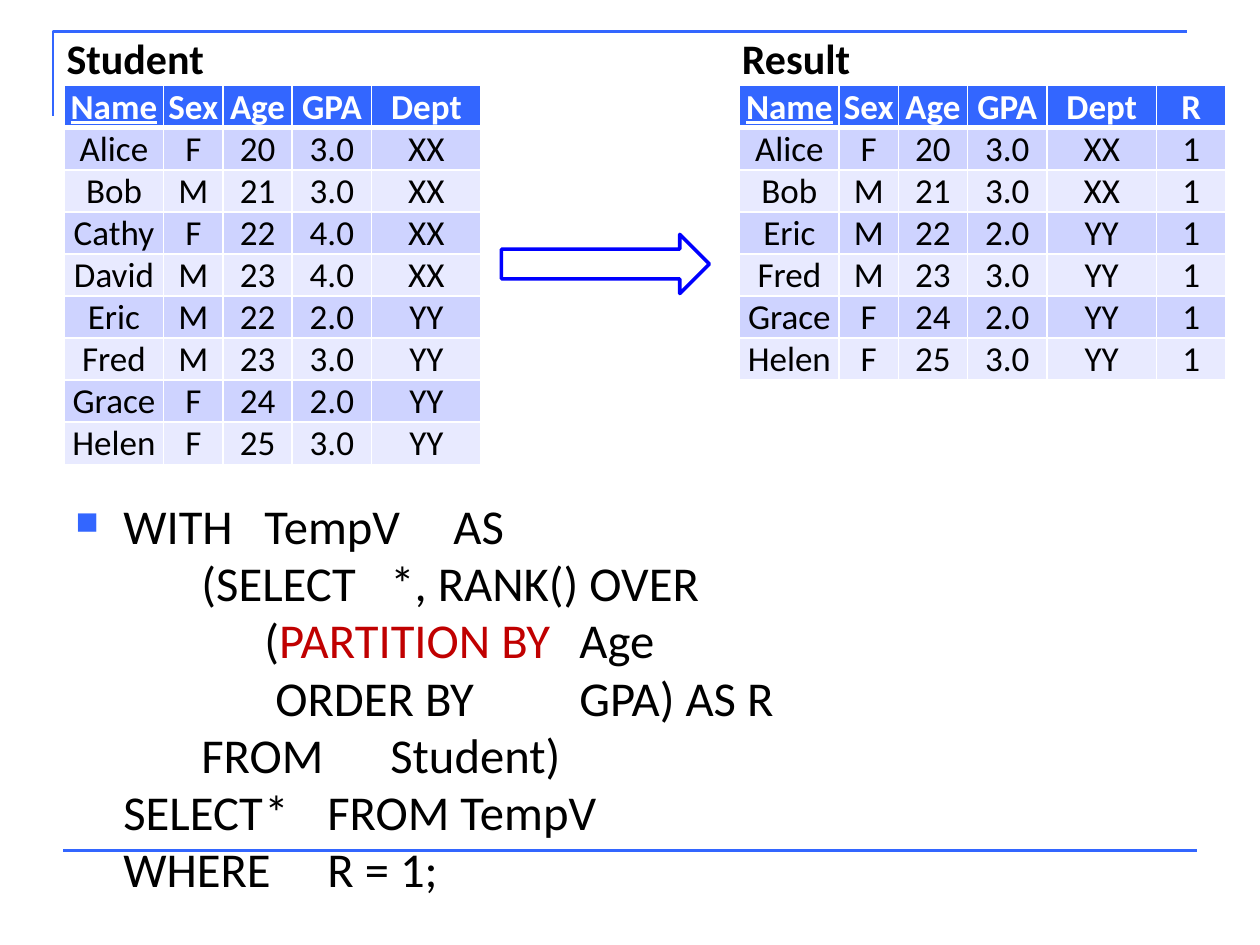
from lxml.etree import SubElement
from pptx import Presentation
from pptx.dml.color import RGBColor
from pptx.enum.shapes import MSO_CONNECTOR, MSO_SHAPE
from pptx.enum.text import MSO_ANCHOR, MSO_AUTO_SIZE, PP_ALIGN
from pptx.oxml.ns import qn
from pptx.util import Inches, Pt

HEADER = ["Name", "Sex", "Age", "GPA", "Dept"]
STUDENTS = [
    ["Alice", "F", "20", "3.0", "XX"],
    ["Bob", "M", "21", "3.0", "XX"],
    ["Cathy", "F", "22", "4.0", "XX"],
    ["David", "M", "23", "4.0", "XX"],
    ["Eric", "M", "22", "2.0", "YY"],
    ["Fred", "M", "23", "3.0", "YY"],
    ["Grace", "F", "24", "2.0", "YY"],
    ["Helen", "F", "25", "3.0", "YY"],
]
UNRANKED_FIRST = ("Cathy", "David")
COLUMN_WIDTHS = [0.79, 0.47, 0.55, 0.63, 0.87, 0.55]
ROW_HEIGHT = 0.33
KEYWORD = "PARTITION BY"
QUERY = [
    "WITH\tTempV\tAS",
    "\t\t(SELECT\t*, RANK() OVER",
    "\t\t\t(PARTITION BY\tAge",
    "\t\t\t ORDER BY\t\tGPA) AS R",
    "\t\tFROM\t\tStudent)",
    "SELECT\t*\tFROM TempV",
    "WHERE\tR = 1;",
]


def rgb(hex_string):
    return RGBColor.from_string(hex_string)


class SlideBuilder:
    """Draws the elements of one slide in a shared style."""

    FONT = "Calibri"
    ACCENT, ARROW, KEYWORD_COLOR = "3366FF", "0000FF", "C00000"
    BLACK, WHITE = "000000", "FFFFFF"
    BANDS = ("E8EAFF", "CED3FF")

    def __init__(self, slide):
        self.slide = slide

    def style(self, font, size, color, bold=False):
        font.name, font.size, font.bold = self.FONT, Pt(size), bold
        font.color.rgb = rgb(color)

    def outline(self, shape, color, width):
        shape.line.color.rgb = rgb(color)
        shape.line.width = Pt(width)

    def corner(self, left, top, right, bottom):
        builder = self.slide.shapes.build_freeform(Inches(left), Inches(bottom))
        builder.add_line_segments(
            [(Inches(left), Inches(top)), (Inches(right), Inches(top))], close=False
        )
        frame = builder.convert_to_shape()
        frame.shadow.inherit = False
        frame.fill.background()
        self.outline(frame, self.ACCENT, 1.5)

    def rule(self, left, right, y):
        line = self.slide.shapes.add_connector(
            MSO_CONNECTOR.STRAIGHT, Inches(left), Inches(y), Inches(right), Inches(y)
        )
        self.outline(line, self.ACCENT, 1.5)
        SubElement(line._element.spPr, qn("a:effectLst"))

    def text_box(self, left, top, width, height):
        frame = self.slide.shapes.add_textbox(
            Inches(left), Inches(top), Inches(width), Inches(height)
        ).text_frame
        frame.word_wrap = True
        return frame

    def label(self, text, left, top):
        frame = self.text_box(left, top, 1.37, 0.5)
        frame.auto_size = MSO_AUTO_SIZE.SHAPE_TO_FIT_TEXT
        frame.text = text
        self.style(frame.paragraphs[0].runs[0].font, 24, self.BLACK, bold=True)

    def query(self, lines, left, top, width, height):
        paragraph = self.text_box(left, top, width, height).paragraphs[0]
        paragraph.line_spacing = 0.98
        properties = paragraph._p.get_or_add_pPr()
        properties.set("marL", str(Inches(0.38)))
        properties.set("indent", str(-Inches(0.38)))
        bullet_color = SubElement(properties, qn("a:buClr"))
        SubElement(bullet_color, qn("a:srgbClr"), val=self.ACCENT)
        SubElement(properties, qn("a:buSzPct"), val="65000")
        SubElement(properties, qn("a:buChar"), char="■")
        for number, line in enumerate(lines):
            if number:
                paragraph.add_line_break()
            for part in filter(None, line.partition(KEYWORD)):
                run = paragraph.add_run()
                run.text = part
                color = self.KEYWORD_COLOR if part == KEYWORD else self.BLACK
                self.style(run.font, 27.8, color)

    def arrow(self, left, top, width, height):
        arrow = self.slide.shapes.add_shape(
            MSO_SHAPE.DOWN_ARROW, Inches(left), Inches(top), Inches(width), Inches(height)
        )
        arrow.rotation = 270
        arrow.shadow.inherit = False
        arrow.fill.background()
        self.outline(arrow, self.ARROW, 2)

    def borders(self, cell, bottom):
        properties = cell._tc.get_or_add_tcPr()
        for side, width in (("L", 1), ("R", 1), ("T", 1), ("B", bottom)):
            border = SubElement(properties, qn(f"a:ln{side}"), w=str(Pt(width)))
            fill = SubElement(border, qn("a:solidFill"))
            SubElement(fill, qn("a:srgbClr"), val=self.WHITE)

    def cell(self, cell, text, is_header, fill):
        self.borders(cell, 3 if is_header else 1)
        cell.fill.solid()
        cell.fill.fore_color.rgb = rgb(fill)
        cell.margin_left = cell.margin_right = cell.margin_top = cell.margin_bottom = 0
        cell.vertical_anchor = MSO_ANCHOR.MIDDLE
        cell.text = text
        paragraph = cell.text_frame.paragraphs[0]
        paragraph.alignment = PP_ALIGN.CENTER
        font = paragraph.runs[0].font
        self.style(font, 20, self.WHITE if is_header else self.BLACK, is_header)
        font.underline = text == "Name"

    def table(self, rows, left, top):
        widths = COLUMN_WIDTHS[:len(rows[0])]
        table = self.slide.shapes.add_table(
            len(rows), len(widths), Inches(left), Inches(top),
            Inches(sum(widths)), Inches(ROW_HEIGHT * len(rows)),
        ).table
        for column, width in zip(table.columns, widths):
            column.width = Inches(width)
        for r, row in enumerate(rows):
            fill = self.BANDS[r % 2] if r else self.ACCENT
            for c, text in enumerate(row):
                self.cell(table.cell(r, c), text, r == 0, fill)


def main():
    presentation = Presentation()
    presentation.slide_width, presentation.slide_height = Inches(10), Inches(7.5)
    builder = SlideBuilder(presentation.slides.add_slide(presentation.slide_layouts[6]))
    ranked = [row + ["1"] for row in STUDENTS if row[0] not in UNRANKED_FIRST]

    builder.corner(0.42, 0.25, 9.42, 0.92)
    builder.rule(0.5, 9.5, 6.75)
    builder.query(QUERY, 0.5, 3.91, 9.22, 2.8)
    builder.label("Result", 5.79, 0.21)
    builder.table([HEADER] + STUDENTS, 0.51, 0.68)
    builder.label("Student", 0.43, 0.21)
    builder.arrow(4.57, 1.27, 0.47, 1.65)
    builder.table([HEADER + ["R"]] + ranked, 5.87, 0.68)
    presentation.save("out.pptx")


if __name__ == "__main__":
    main()
